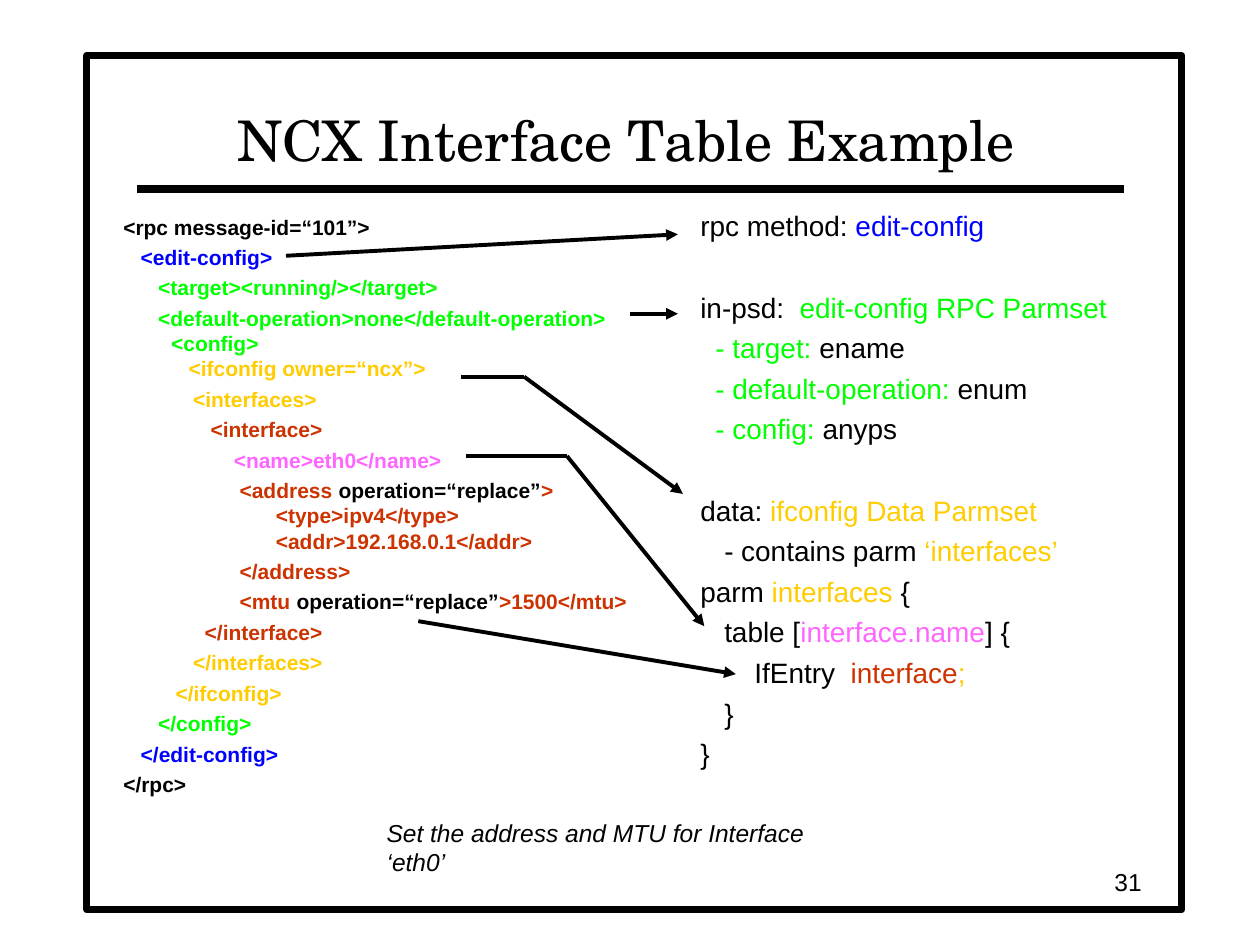
import copy
import pptx
import pptx.dml.color
import pptx.enum.shapes
import pptx.enum.text
import pptx.util
import pptx.oxml.ns
import lxml.etree

Inches = pptx.util.Inches
Pt = pptx.util.Pt
ALIGN = pptx.enum.text.PP_ALIGN
ANCHOR = pptx.enum.text.MSO_ANCHOR
STRAIGHT = pptx.enum.shapes.MSO_CONNECTOR.STRAIGHT
qn = pptx.oxml.ns.qn

BLACK, BLUE, GREEN = "000000", "0000FF", "00FF00"
GOLD, PINK, RUST = "FFCC00", "FF66FF", "CC3300"


def rgb(hex_str):
    return pptx.dml.color.RGBColor.from_string(hex_str)


def add_runs(p, runs, size, bold=False, italic=False, font="Arial"):
    for text, color in runs:
        for i, line in enumerate(text.split("\n")):
            if i:
                p.add_line_break()
                p._p[-1].append(copy.deepcopy(r._r.rPr))
            r = p.add_run()
            r.text = line
            r.font.name = font
            r.font.size = Pt(size)
            r.font.bold = bold
            r.font.italic = italic
            r.font.color.rgb = rgb(color)


prs = pptx.Presentation()
prs.slide_width = Inches(10)
prs.slide_height = Inches(7.5)
s = prs.slides.add_slide(prs.slide_layouts[5])

frame = s.shapes.add_shape(pptx.enum.shapes.MSO_SHAPE.RECTANGLE,
                           Inches(0.69), Inches(0.44), Inches(8.69), Inches(6.78))
frame.shadow.inherit = False
frame.fill.solid()
frame.fill.fore_color.rgb = rgb("FFFFFF")
frame.line.color.rgb = rgb(BLACK)
frame.line.width = Pt(4)

title = s.shapes.title
title._element.getparent().append(title._element)
title.left, title.top = Inches(1.08), Inches(0.5)
title.width, title.height = Inches(7.79), Inches(0.92)
tf = title.text_frame
tf.vertical_anchor = ANCHOR.BOTTOM
p = tf.paragraphs[0]
p.alignment = ALIGN.CENTER
add_runs(p, [("NCX Interface Table Example", BLACK)], 32, font="TeX Gyre Schola")

model = [
    (0, 0, [("rpc method:", BLACK), (" edit-config", BLUE)]),
    (0, 27.2, [("in-psd:", BLACK), ("  edit-config RPC Parmset", GREEN)]),
    (0.12, 4, [("- target: ", GREEN), ("ename", BLACK)]),
    (0.12, 4, [("- default-operation: ", GREEN), ("enum", BLACK)]),
    (0.12, 4, [("- config: ", GREEN), ("anyps", BLACK)]),
    (0, 27.2, [("data: ", BLACK), ("ifconfig Data Parmset", GOLD)]),
    (0.19, 4, [("- contains parm", BLACK), (" ‘interfaces’", GOLD)]),
    (0, 4, [("parm", BLACK), (" interfaces ", GOLD), ("{", BLACK)]),
    (0.19, 4, [("table [", BLACK), ("interface.name", PINK), ("] {", BLACK)]),
    (0.43, 4, [("IfEntry  ", BLACK), ("interface", RUST), (";", GOLD)]),
    (0.19, 4, [("}", BLACK)]),
    (0, 4, [("}", BLACK)]),
]
tf = s.shapes.add_textbox(Inches(5.46), Inches(1.61), Inches(3.9), Inches(5.17)).text_frame
tf.word_wrap = True
for i, (indent, before, runs) in enumerate(model):
    p = tf.add_paragraph() if i else tf.paragraphs[0]
    p.space_before = Pt(before)
    p._p.get_or_add_pPr().set("marL", str(Inches(indent)))
    add_runs(p, runs, 16)

code = [
    [("<rpc message-id=“101”>", BLACK)],
    [("   <edit-config>", BLUE)],
    [("      <target><running/></target>", GREEN)],
    [("      <default-operation>none</default-operation>\n<config>\n   ", GREEN),
     ("<ifconfig owner=“ncx”>", GOLD)],
    [("            <interfaces>", GOLD)],
    [("               <interface>", RUST)],
    [("                   <name>eth0</name>", PINK)],
    [("                    <address ", RUST), ("operation=“replace”", BLACK),
     (">\n                  <type>ipv4</type>"
      "\n                  <addr>192.168.0.1</addr>", RUST)],
    [("                    </address>", RUST)],
    [("                    <mtu ", RUST), ("operation=“replace”", BLACK),
     (">1500</mtu>", RUST)],
    [("              </interface>", RUST)],
    [("            </interfaces>", GOLD)],
    [("         </ifconfig>", GOLD)],
    [("      </config>", GREEN)],
    [("   </edit-config>", BLUE)],
    [("</rpc>", BLACK)],
]
tf = s.shapes.add_textbox(Inches(0.88), Inches(1.65), Inches(5.08), Inches(5.17)).text_frame
tf.word_wrap = True
for i, runs in enumerate(code):
    p = tf.add_paragraph() if i else tf.paragraphs[0]
    p.space_before = Pt(3 if i else 0)
    pPr = p._p.get_or_add_pPr()
    pPr.set("marL", str(Inches(0.38)))
    pPr.set("indent", str(-Inches(0.38)))
    add_runs(p, runs, 12, bold=True)

lines = [
    (1.09, 1.5, 8.92, 1.5, 4.5, False),
    (2.27, 2.03, 5.38, 1.86, 2.25, True),
    (5, 2.49, 5.38, 2.49, 2.25, True),
    (3.66, 2.99, 4.16, 2.99, 2.25, False),
    (4.16, 2.99, 5.42, 3.92, 2.25, True),
    (3.32, 4.93, 5.84, 5.35, 2.25, True),
    (3.7, 3.62, 4.5, 3.62, 2.25, False),
    (4.5, 3.62, 5.59, 4.97, 2.25, True),
]
for x1, y1, x2, y2, width, arrow in lines:
    cn = s.shapes.add_connector(STRAIGHT, Inches(x1), Inches(y1), Inches(x2), Inches(y2))
    cn.line.color.rgb = rgb(BLACK)
    cn.line.width = Pt(width)
    if arrow:
        lxml.etree.SubElement(cn.line._get_or_add_ln(), qn("a:tailEnd"), type="triangle")
    lxml.etree.SubElement(cn._element.spPr, qn("a:effectLst"))

tf = s.shapes.add_textbox(Inches(2.97), Inches(6.44), Inches(4.03), Inches(0.34)).text_frame
tf.word_wrap = False
add_runs(tf.paragraphs[0], [("Set the address and MTU for Interface ‘eth0’", BLACK)],
         14, italic=True)

tf = s.shapes.add_textbox(Inches(7.08), Inches(6.83), Inches(2.08), Inches(0.33)).text_frame
tf.word_wrap = True
tf.vertical_anchor = ANCHOR.MIDDLE
p = tf.paragraphs[0]
p.alignment = ALIGN.RIGHT
add_runs(p, [("31", BLACK)], 14)

prs.save("out.pptx")
